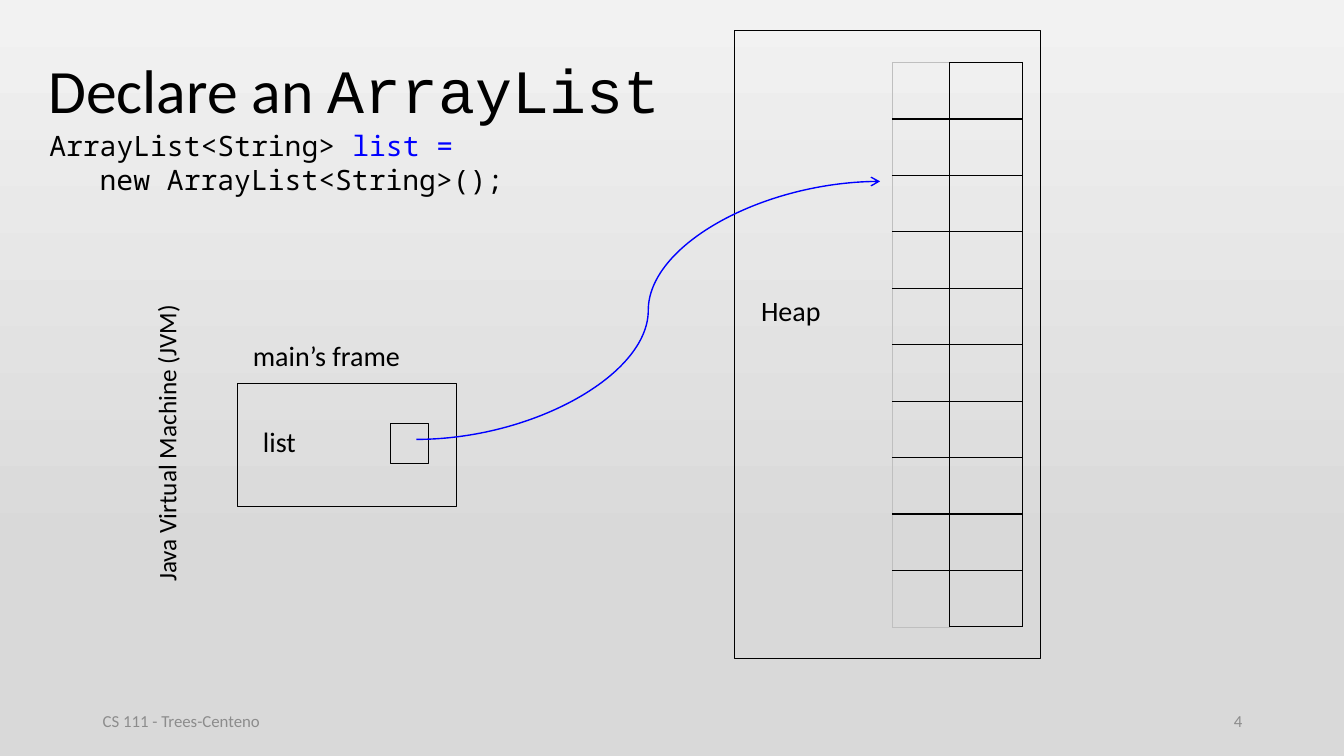
"""Build the slide showing an ArrayList declaration and its place in the heap."""
from lxml.etree import SubElement
from pptx import Presentation
from pptx.dml.color import RGBColor
from pptx.enum.shapes import MSO_CONNECTOR as Connector, MSO_SHAPE as Shape
from pptx.enum.text import MSO_ANCHOR as Anchor, PP_ALIGN as Align
from pptx.oxml.ns import qn
from pptx.util import Inches, Pt

BLACK = RGBColor(0x00, 0x00, 0x00)
BLUE = RGBColor(0x00, 0x00, 0xFF)
GRAY = RGBColor(0x8C, 0x8C, 0x8C)
FAINT = RGBColor(0xBF, 0xBF, 0xBF)
BACK_TOP = RGBColor(0xF2, 0xF2, 0xF2)
BACK_BOTTOM = RGBColor(0xD9, 0xD9, 0xD9)
BODY, CODE, TITLE_CODE = "Calibri", "Noto Sans Mono", "Courier New"

deck = Presentation()
deck.slide_width, deck.slide_height = Inches(13.33), Inches(7.5)
slide = deck.slides.add_slide(deck.slide_layouts[6])

backdrop = slide.background.fill
backdrop.gradient()
backdrop.gradient_angle = 270
for stop, position, color in zip(backdrop.gradient_stops, (0, 0.74), (BACK_TOP, BACK_BOTTOM)):
    stop.position = position
    stop.color.rgb = color


def add_text(box, lines, size, wrap=True, anchor=Anchor.TOP, align=Align.LEFT):
    """Add a text box; each line is a list of (text, font, color) runs."""
    frame = slide.shapes.add_textbox(*map(Inches, box)).text_frame
    frame.word_wrap = wrap
    frame.vertical_anchor = anchor
    for number, runs in enumerate(lines):
        paragraph = frame.add_paragraph() if number else frame.paragraphs[0]
        paragraph.alignment = align
        for text, font, color in runs:
            run = paragraph.add_run()
            run.text = text
            run.font.name, run.font.size = font, Pt(size)
            run.font.color.rgb = color
    return frame


def add_border(cell, side, color, width):
    """Draw one side of a table cell."""
    edge = SubElement(cell._tc.get_or_add_tcPr(), qn(f"a:{side}"), w=str(Pt(width)))
    fill = SubElement(edge, qn("a:solidFill"))
    SubElement(fill, qn("a:srgbClr"), val=str(color))


title = add_text((0.38, 0.2, 7.07, 1.45),
                 [[("Declare an ", BODY, BLACK), ("ArrayList", TITLE_CODE, BLACK)]],
                 44, anchor=Anchor.MIDDLE)
title.paragraphs[0].line_spacing = 0.9

add_text((0.92, 6.95, 3, 0.4), [[("CS 111 - Trees-Centeno", BODY, GRAY)]], 12,
         anchor=Anchor.MIDDLE)
add_text((9.42, 6.95, 3, 0.4), [[("4", BODY, GRAY)]], 12,
         anchor=Anchor.MIDDLE, align=Align.RIGHT)

declaration = add_text((0.39, 1.23, 4.75, 0.77),
                       [[("ArrayList<String> ", CODE, BLACK), ("list =", CODE, BLUE)],
                        [("new ArrayList<String>();", CODE, BLACK)]], 20, wrap=False)
declaration.paragraphs[1]._p.get_or_add_pPr().set("marL", str(Inches(0.5)))

main_frame = (2.35, 3.8, 2.18, 1.22)
list_variable = (3.87, 4.2, 0.38, 0.4)
heap = (7.28, 0.3, 3.04, 6.23)
for box, width in ((main_frame, 0.5), (list_variable, 0.75), (heap, 0.5)):
    outline = slide.shapes.add_shape(Shape.RECTANGLE, *map(Inches, box))
    outline.shadow.inherit = False
    outline.fill.background()
    outline.line.color.rgb = BLACK
    outline.line.width = Pt(width)

for label, box, wrap in (("list", (2.51, 4.16, 1.06, 0.44), True),
                         ("main’s frame", (2.41, 3.31, 1.7, 0.44), False),
                         ("Heap", (7.45, 2.86, 0.8, 0.44), False)):
    add_text(box, [[(label, BODY, BLACK)]], 20, wrap=wrap)

jvm = add_text((1.45, 2.89, 0.5, 2.98), [[("Java Virtual Machine (JVM)", BODY, BLACK)]], 18)
jvm._txBody.bodyPr.set("vert", "vert270")

reference = slide.shapes.add_connector(Connector.CURVE, *map(Inches, (4.13, 4.36, 8.73, 1.8)))
reference.line.color.rgb = BLUE
reference.line.width = Pt(1)
SubElement(reference.line._get_or_add_ln(), qn("a:tailEnd"), type="arrow")
SubElement(reference._element.spPr, qn("a:effectLst"))

ROWS = 10
memory = slide.shapes.add_table(ROWS, 2, *map(Inches, (8.85, 0.62, 1.29, 5.6))).table
memory.first_row = memory.horz_banding = False
memory.columns[0].width, memory.columns[1].width = Inches(0.57), Inches(0.72)
for row in range(ROWS):
    memory.rows[row].height = Inches(0.56)
    for column in range(2):
        cell = memory.cell(row, column)
        outer = {"lnL": True, "lnR": False, "lnT": row == 0, "lnB": row == ROWS - 1}
        for side, is_outer in outer.items():
            faint = column == 0 and is_outer
            add_border(cell, side, FAINT if faint else BLACK, 0.5 if faint else 1)
        cell.fill.background()

deck.save("out.pptx")
